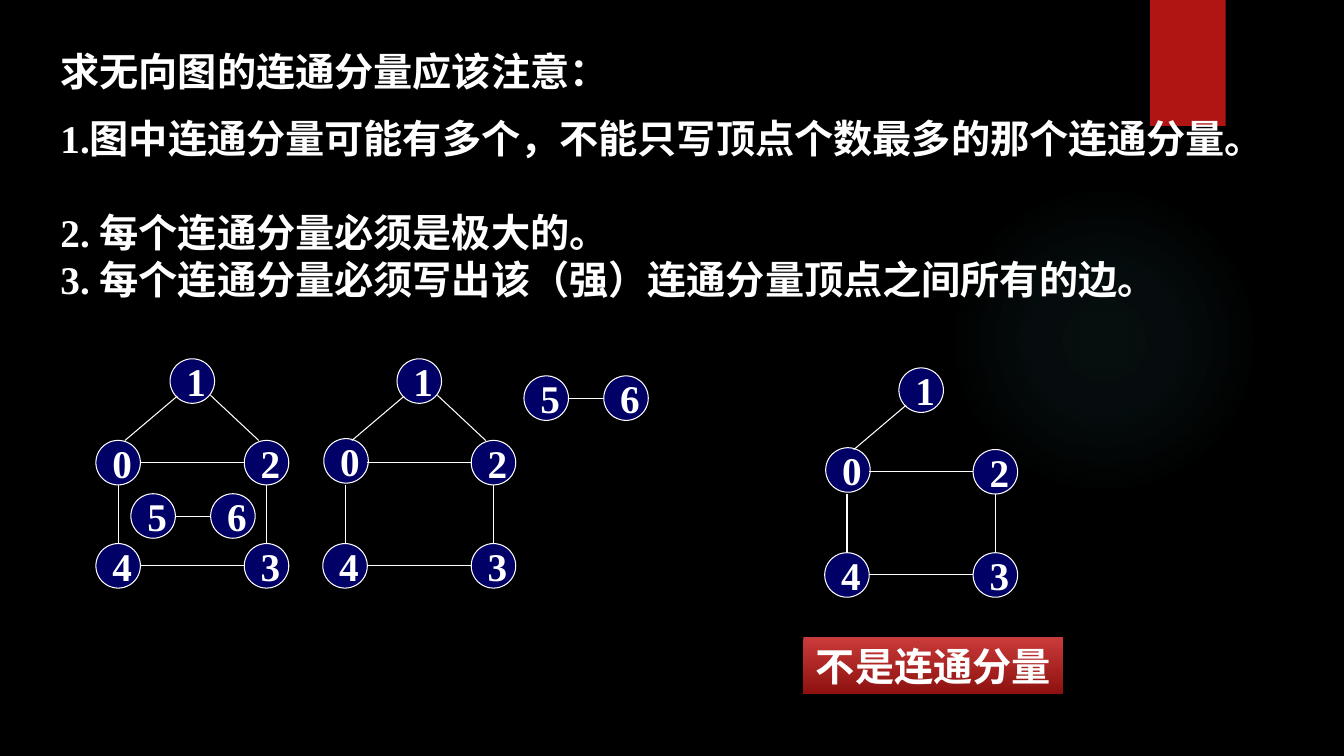
from lxml import etree
from pptx import Presentation
from pptx.dml.color import RGBColor
from pptx.enum.shapes import MSO_CONNECTOR, MSO_SHAPE
from pptx.enum.text import MSO_ANCHOR, MSO_AUTO_SIZE, PP_ALIGN
from pptx.oxml import parse_xml
from pptx.oxml.ns import nsdecls, qn
from pptx.util import Pt

OVAL, RECT = MSO_SHAPE.OVAL, MSO_SHAPE.RECTANGLE
STRAIGHT = MSO_CONNECTOR.STRAIGHT
TOP, MIDDLE = MSO_ANCHOR.TOP, MSO_ANCHOR.MIDDLE
LEFT, CENTER = PP_ALIGN.LEFT, PP_ALIGN.CENTER
NO_FIT = MSO_AUTO_SIZE.NONE

BLACK = RGBColor(0x00, 0x00, 0x00)
WHITE = RGBColor(0xFF, 0xFF, 0xFF)
NAVY = RGBColor(0x00, 0x00, 0x66)
RIBBON_RED = RGBColor(0xB0, 0x15, 0x13)
LIGHT_RED = RGBColor(0xC9, 0x3B, 0x3A)
DARK_RED = RGBColor(0x8D, 0x11, 0x0F)
TEAL = RGBColor(0x50, 0xB9, 0xC1)

LATIN, CJK = "Times New Roman", "Noto Sans CJK SC"
RADIUS = 15.9

TITLE = "求无向图的连通分量应该注意："
RULES = [
    ("1.图中连通分量可能有多个，不能只写顶点个数最多的那个连通分量。", 0),
    ("2. 每个连通分量必须是极大的。", 33.6),
    ("3. 每个连通分量必须写出该（强）连通分量顶点之间所有的边。", 0),
]

HOUSE_NODES = {"1": (0, 0), "0": (-53, 58.3), "2": (53, 58.3),
               "3": (53, 132), "4": (-53, 132)}
RAISED_NODES = {**HOUSE_NODES, "0": (-52.3, 57)}
OPEN_EDGES = [
    (-48.2, 42.5, -10.8, 10.8),
    (-37.1, 58.3, 37.1, 58.3),
    (-37.1, 132, 37.1, 132),
    (53, 74.2, 53, 116.1),
    (-53, 74.2, -53, 116.1),
]
HOUSE_EDGES = OPEN_EDGES + [(13, 10.2, 47.5, 42.5)]
PAIR_NODES = {"5": (0, 0), "6": (57, 0)}
PAIR_EDGES = [(RADIUS, 0, 41.5, 0)]


def add_text(p, text, font=LATIN):
    """Add one bold white run to a paragraph."""
    r = p.add_run()
    r.text = text
    r.font.name, r.font.size, r.font.bold = font, Pt(28), True
    r.font.color.rgb = WHITE
    etree.SubElement(r.font._element, qn("a:ea")).set("typeface", CJK)


def fill_placeholder(sp, box, lines):
    """Place a placeholder and write its lines without bullets."""
    sp.left, sp.top, sp.width, sp.height = map(Pt, box)
    tf = sp.text_frame
    tf.auto_size, tf.word_wrap, tf.vertical_anchor = NO_FIT, True, TOP
    for i, (text, space) in enumerate(lines):
        p = tf.add_paragraph() if i else tf.paragraphs[0]
        p.alignment, p.line_spacing, p.space_before = LEFT, 1.0, Pt(space)
        pPr = p._p.get_or_add_pPr()
        pPr.set("marL", "0")
        pPr.set("indent", "0")
        etree.SubElement(pPr, qn("a:buNone"))
        add_text(p, text)


def add_plain_shape(s, kind, box, color=None):
    """Add a shape without line or shadow."""
    sp = s.shapes.add_shape(kind, *map(Pt, box))
    sp.shadow.inherit = False
    sp.line.fill.background()
    if color is None:
        sp.fill.background()
    else:
        sp.fill.solid()
        sp.fill.fore_color.rgb = color
    return sp


def send_to_back(s, sp):
    """Move a shape behind all others."""
    s.shapes._spTree.insert(2, sp._element)


def add_glow(s):
    """Add the faint round glow at the back."""
    sp = add_plain_shape(s, OVAL, (677.5, 131.8, 221.8, 221.8))
    stops = "".join(
        f'<a:gs pos="{pos}000"><a:srgbClr val="{TEAL}">'
        f'<a:alpha val="{alpha}000"/></a:srgbClr></a:gs>'
        for pos, alpha in ((0, 7), (36, 6), (69, 0)))
    grad = parse_xml(
        f'<a:gradFill {nsdecls("a")}><a:gsLst>{stops}</a:gsLst>'
        '<a:path path="circle"><a:fillToRect l="50000" t="50000" '
        'r="50000" b="50000"/></a:path></a:gradFill>')
    spPr = sp._element.spPr
    spPr.replace(spPr.find(qn("a:noFill")), grad)
    send_to_back(s, sp)


def add_node(s, label, x, y):
    """Add a numbered vertex centred on a point."""
    box = (x - RADIUS, y - RADIUS, 2 * RADIUS, 2 * RADIUS)
    sp = add_plain_shape(s, OVAL, box, NAVY)
    sp.line.color.rgb, sp.line.width = WHITE, Pt(0.75)
    tf = sp.text_frame
    tf.word_wrap, tf.vertical_anchor = False, MIDDLE
    tf.paragraphs[0].alignment = LEFT
    add_text(tf.paragraphs[0], label)


def add_edge(s, x1, y1, x2, y2):
    """Add a thin white line between two points."""
    c = s.shapes.add_connector(STRAIGHT, Pt(x1), Pt(y1), Pt(x2), Pt(y2))
    c.line.color.rgb, c.line.width = WHITE, Pt(0.75)
    etree.SubElement(c._element.spPr, qn("a:effectLst"))


def add_graph(s, x, y, nodes, edges):
    """Draw a graph whose first vertex is centred on a point."""
    for label, (dx, dy) in nodes.items():
        add_node(s, label, x + dx, y + dy)
    for x1, y1, x2, y2 in edges:
        add_edge(s, x + x1, y + y1, x + x2, y + y2)


def add_banner(s, text):
    """Add the red gradient caption."""
    sp = add_plain_shape(s, RECT, (573.8, 455, 185.8, 41))
    sp.fill.gradient()
    sp.fill.gradient_angle = 270
    for stop, color, pos in zip(sp.fill.gradient_stops,
                                (LIGHT_RED, DARK_RED), (0, 1)):
        stop.color.rgb, stop.position = color, pos
    tf = sp.text_frame
    tf.word_wrap, tf.vertical_anchor = False, MIDDLE
    tf.paragraphs[0].alignment = CENTER
    add_text(tf.paragraphs[0], text, CJK)


def main():
    """Build the slide and save it."""
    prs = Presentation()
    prs.slide_width, prs.slide_height = Pt(960), Pt(540)
    s = prs.slides.add_slide(prs.slide_layouts[1])
    s.background.fill.solid()
    s.background.fill.fore_color.rgb = BLACK

    send_to_back(s, add_plain_shape(s, RECT, (821.5, 0, 54, 90), RIBBON_RED))
    add_glow(s)
    title, body = s.placeholders
    fill_placeholder(title, (36, 30.2, 867, 42), [(TITLE, 0)])
    fill_placeholder(body, (36, 78, 890, 145), RULES)

    add_graph(s, 137.4, 272.2, HOUSE_NODES, HOUSE_EDGES)
    add_graph(s, 109.4, 368.6, PAIR_NODES, PAIR_EDGES)
    add_graph(s, 299.5, 272.2, RAISED_NODES, HOUSE_EDGES)
    add_graph(s, 390.2, 284.4, PAIR_NODES, PAIR_EDGES)
    add_graph(s, 658, 278.7, RAISED_NODES, OPEN_EDGES)
    add_banner(s, "不是连通分量")
    prs.save("out.pptx")


if __name__ == "__main__":
    main()
